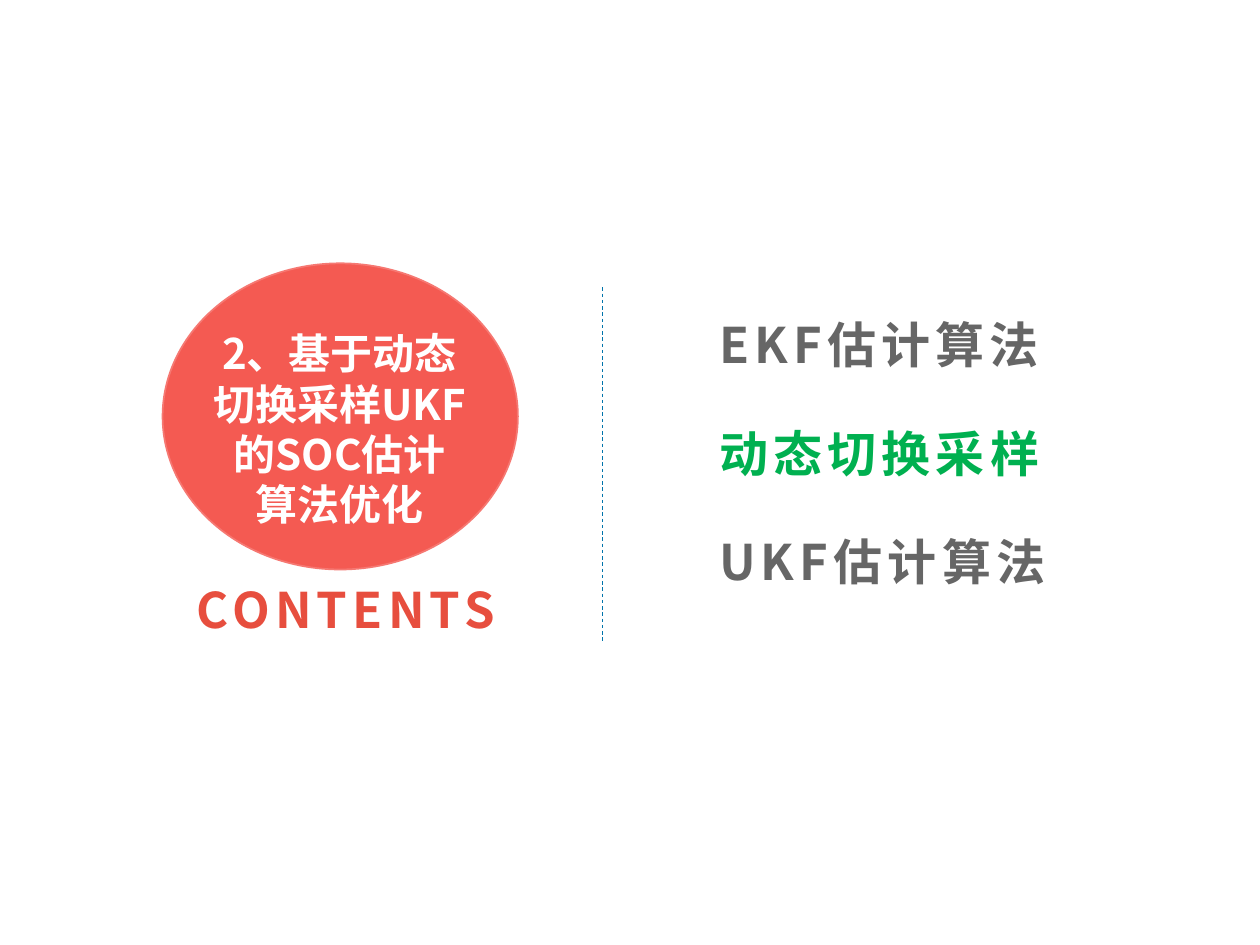
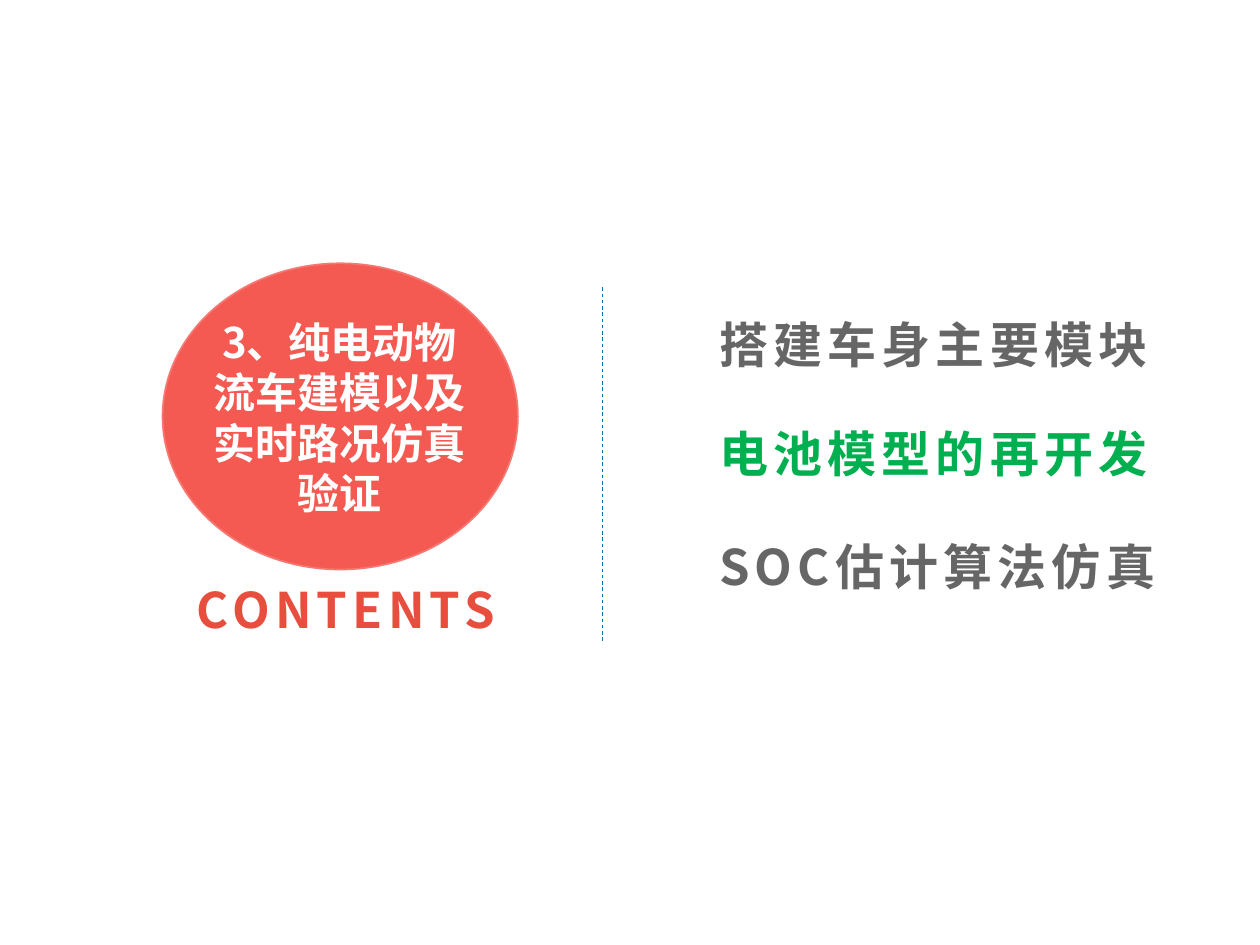
from pptx import Presentation
from pptx.dml.color import RGBColor
from pptx.enum.dml import MSO_LINE
from pptx.enum.shapes import MSO_CONNECTOR, MSO_SHAPE
from pptx.enum.text import MSO_ANCHOR, MSO_AUTO_SIZE, PP_ALIGN
from pptx.oxml.ns import qn
from pptx.util import Inches, Pt
from lxml.etree import SubElement

# Shared look: the slide is a grid of 100 columns by 75 rows
CELL = Inches(0.1)
FONT = "Noto Sans CJK SC"
WHITE, GREEN, GREY = "FFFFFF", "00B050", "666666"
RED, DISC_FILL, DISC_LINE, BLUE = "E74E3E", "F45A52", "F67872", "0174AB"
ITEM_LEFT, ITEM_TOP, ITEM_STEP, ITEM_HEIGHT = 56.1, 24.5, 8.6, 5.7
HIGHLIGHTED = 1

# Heading, heading row, then each item with its width and downward shift
SECTIONS = [
    ("2、基于动态切换采样UKF的SOC估计算法优化", 25.5,
     [("EKF估计算法", 32.7, 0), ("动态切换采样", 32.7, 0), ("UKF估计算法", 32.7, 0)]),
    ("3、纯电动物流车建模以及实时路况仿真验证", 24.6,
     [("搭建车身主要模块", 40.9, 0), ("电池模型的再开发", 38.2, 0), ("SOC估计算法仿真", 39.1, 0.4)]),
]


def color(hex_value):
    return RGBColor.from_string(hex_value)


def grid(*cells):
    return [round(cell * CELL) for cell in cells]


def set_attributes(target, values):
    for name, value in values.items():
        setattr(target, name, value)


def write(shape, text, size, hex_value, align=PP_ALIGN.LEFT, spacing=0):
    frame = shape.text_frame
    set_attributes(frame, {"word_wrap": True, "vertical_anchor": MSO_ANCHOR.TOP,
                           "auto_size": MSO_AUTO_SIZE.SHAPE_TO_FIT_TEXT})
    paragraph = frame.paragraphs[0]
    paragraph.alignment = align
    run = paragraph.add_run()
    run.text = text
    set_attributes(run.font, {"size": Pt(size), "bold": True, "name": FONT})
    run.font.color.rgb = color(hex_value)
    # East Asian typeface and letter spacing
    properties = run._r.get_or_add_rPr()
    properties.set("lang", "zh-CN")
    if spacing:
        properties.set("spc", str(spacing * 100))
    east_asian = SubElement(properties, qn("a:ea"))
    east_asian.set("typeface", FONT)


def add_label(slide, box, text, hex_value, align=PP_ALIGN.LEFT):
    write(slide.shapes.add_textbox(*grid(*box)), text, 28, hex_value, align, spacing=3)


def add_divider(slide):
    line = slide.shapes.add_connector(MSO_CONNECTOR.STRAIGHT, *grid(47.8, 22.8, 47.8, 51))
    set_attributes(line.line, {"width": Pt(0.5), "dash_style": MSO_LINE.DASH})
    line.line.color.rgb = color(BLUE)
    SubElement(line._element.spPr, qn("a:effectLst"))


def add_disc(slide):
    disc = slide.shapes.add_shape(MSO_SHAPE.OVAL, *grid(12.9, 20.9, 28.2, 24.3))
    disc.shadow.inherit = False
    disc.fill.solid()
    disc.fill.fore_color.rgb = color(DISC_FILL)
    disc.line.color.rgb = color(DISC_LINE)
    disc.line.width = Pt(1)


def add_heading(slide, text, row):
    title = slide.shapes.title
    left, top, width, height = grid(15.9, row, 22.1, 17.2)
    set_attributes(title, {"left": left, "top": top, "width": width, "height": height})
    write(title, text, 24, WHITE, PP_ALIGN.CENTER)
    # Bring the heading in front of the disc
    slide.shapes._spTree.append(title._element)


def add_items(slide, items):
    for index, (text, width, shift) in enumerate(items):
        top = ITEM_TOP + index * ITEM_STEP + shift
        hex_value = GREEN if index == HIGHLIGHTED else GREY
        add_label(slide, (ITEM_LEFT, top, width, ITEM_HEIGHT), text, hex_value)


def main():
    presentation = Presentation()
    presentation.slide_width, presentation.slide_height = grid(100, 75)
    title_only = presentation.slide_layouts[5]
    for heading, row, items in SECTIONS:
        slide = presentation.slides.add_slide(title_only)
        add_divider(slide)
        add_label(slide, (12.9, 45.5, 29.1, 5.7), "CONTENTS", RED, PP_ALIGN.CENTER)
        add_disc(slide)
        add_heading(slide, heading, row)
        add_items(slide, items)
    presentation.save("out.pptx")


if __name__ == "__main__":
    main()
